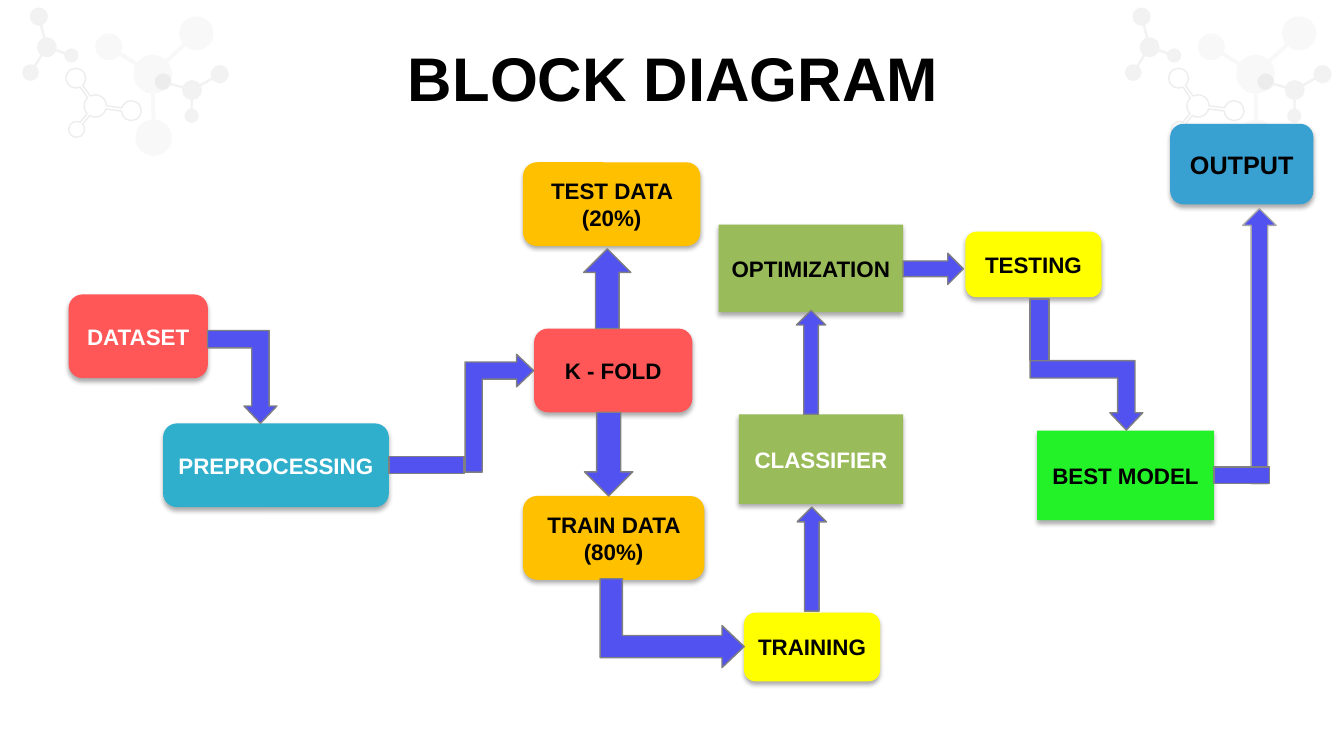
from math import asin, atan2, cos, degrees, pi, sin

from lxml import etree
from pptx import Presentation
from pptx.dml.color import RGBColor
from pptx.enum.shapes import MSO_SHAPE
from pptx.enum.text import MSO_ANCHOR, MSO_AUTO_SIZE, PP_ALIGN
from pptx.oxml.ns import qn
from pptx.util import Cm, Pt

ROUNDED = MSO_SHAPE.ROUNDED_RECTANGLE
SQUARE = MSO_SHAPE.RECTANGLE
UP = MSO_SHAPE.UP_ARROW
DOWN = MSO_SHAPE.DOWN_ARROW
RIGHT = MSO_SHAPE.RIGHT_ARROW
BENT = MSO_SHAPE.BENT_UP_ARROW
MIDDLE = MSO_ANCHOR.MIDDLE
CENTER = PP_ALIGN.CENTER
NO_FIT = MSO_AUTO_SIZE.NONE

FONT = "Arial"
COLORS = {
    "black": "000000", "white": "FFFFFF", "blue": "38A1D2", "red": "FF5757",
    "yellow": "FFFF00", "olive": "9ABB59", "amber": "FFC000", "teal": "2FAFCC",
    "green": "22F227", "arrow": "5252F0", "edge": "808080",
    "pale": "F2F2F2", "silver": "A6A6A6",
}

BLOCKS = [
    ("OUTPUT", ROUNDED, "blue", "black", 18, (29.49, 3.12, 3.61, 2.03)),
    ("DATASET", ROUNDED, "red", "white", 16, (1.73, 7.42, 3.51, 2.11)),
    ("K - FOLD", ROUNDED, "red", "black", 16, (13.46, 8.28, 3.99, 2.11)),
    ("TRAINING", ROUNDED, "yellow", "black", 16, (18.75, 15.44, 3.43, 1.73)),
    ("CLASSIFIER", SQUARE, "olive", "white", 16, (18.62, 10.44, 4.14, 2.26)),
    ("TRAIN DATA (80%)", ROUNDED, "amber", "black", 16, (13.18, 12.5, 4.57, 2.11)),
    ("TEST DATA (20%)", ROUNDED, "amber", "black", 16, (13.18, 4.09, 4.47, 2.11)),
    ("PREPROCESSING", ROUNDED, "teal", "white", 16, (4.11, 10.67, 5.69, 2.11)),
    ("OPTIMIZATION", SQUARE, "olive", "black", 16, (18.11, 5.66, 4.65, 2.21)),
    ("TESTING", ROUNDED, "yellow", "black", 16, (24.33, 5.84, 3.43, 1.65)),
    ("BEST MODEL", SQUARE, "green", "black", 16, (26.14, 10.85, 4.45, 2.26)),
]

STRAIGHT_ARROWS = [
    (UP, (20.09, 12.78, 0.74, 2.62)),
    (UP, (20.07, 7.82, 0.74, 2.62)),
    (RIGHT, (22.76, 6.38, 1.52, 0.79)),
    (UP, (14.71, 6.27, 1.19, 2.01)),
    (DOWN, (14.73, 10.39, 1.22, 2.11)),
    (SQUARE, (9.8, 11.51, 1.9, 0.43)),
]
BENT_ARROWS = [
    ((5.23, 8.33, 1.75, 2.34), 0, True),
    ((11.1, 9.55, 2.97, 1.73), 270, True),
    ((25.96, 9.09, 2.84, 1.75), 0, True),
    ((15.82, 13.89, 2.24, 3.63), 90, False),
]
STUBS = [(25.96, 7.54, 0.48, 1.55), (30.59, 11.77, 1.4, 0.41)]
OUTPUT_ARROW = (31.32, 5.26, 0.84, 6.93)

MOLECULES = [
    ("pale", None, 100, 0.03,
     [(4.84, 2.27, 0.25), (5.54, 1.87, 0.23), (4.83, 2.92, 0.18), (4.11, 2.06, 0.21)]),
    (None, "silver", 20, 0.04,
     [(2.4, 2.67, 0.28), (1.91, 1.97, 0.25), (3.31, 2.79, 0.25), (1.93, 3.26, 0.2)]),
    ("edge", None, 5, 0.05,
     [(3.85, 1.87, 0.49), (3.87, 3.47, 0.46), (2.74, 1.18, 0.34), (4.95, 0.84, 0.43)]),
    ("pale", None, 100, 0.03,
     [(1.18, 1.19, 0.25), (0.98, 0.42, 0.23), (1.8, 1.4, 0.18), (0.77, 1.83, 0.21)]),
]
CORNER_SHIFTS = (27.79, 0)


def color(name):
    return RGBColor.from_string(COLORS[name])


def paint(shape, fill, line=None, width=1):
    shape.shadow.inherit = False
    if fill:
        shape.fill.solid()
        shape.fill.fore_color.rgb = color(fill)
    else:
        shape.fill.background()
    if line:
        shape.line.color.rgb = color(line)
        shape.line.width = Pt(width)
    else:
        shape.line.fill.background()


def set_opacity(parent, percent):
    for tint in parent.iter(qn("a:srgbClr")):
        etree.SubElement(tint, qn("a:alpha"), val=str(percent * 1000))


def drop_shadow(shape):
    effects = shape.element.spPr.find(qn("a:effectLst"))
    shadow = etree.SubElement(effects, qn("a:outerShdw"), blurRad=str(Pt(3.5)),
                              dist=str(Pt(2.2)), dir="5400000", rotWithShape="0")
    etree.SubElement(shadow, qn("a:srgbClr"), val=COLORS["black"])
    set_opacity(shadow, 32)


def write(frame, text, size, tint):
    frame.word_wrap = True
    frame.auto_size = NO_FIT
    frame.vertical_anchor = MIDDLE
    para = frame.paragraphs[0]
    para.alignment = CENTER
    span = para.add_run()
    span.text = text
    span.font.name = FONT
    span.font.size = Pt(size)
    span.font.bold = True
    span.font.color.rgb = color(tint)


def add_title(page, text):
    title = page.shapes.title
    title.left, title.top, title.width, title.height = map(Cm, (0.89, 0.94, 32.16, 2.01))
    write(title.text_frame, text, 44, "black")


def add_block(page, text, kind, fill, tint, size, bounds):
    box = page.shapes.add_shape(kind, *map(Cm, bounds))
    paint(box, fill)
    drop_shadow(box)
    box.text_frame.margin_left = box.text_frame.margin_right = Cm(0.1)
    write(box.text_frame, text, size, tint)


def add_arrow(page, kind, bounds, edge="edge"):
    arrow = page.shapes.add_shape(kind, *map(Cm, bounds))
    paint(arrow, "arrow", edge)
    return arrow


def add_bent_arrow(page, bounds, rotation, flipped):
    arrow = add_arrow(page, BENT, bounds)
    for index, share in enumerate((0.25, 0.237, 0.25)):
        arrow.adjustments[index] = share
    arrow.rotation = rotation
    if flipped:
        arrow.element.spPr.find(qn("a:xfrm")).set("flipV", "1")


def molecule_arcs(atoms, half_bond):
    hub = atoms[0]
    leaves = sorted((atan2(leaf[1] - hub[1], leaf[0] - hub[0]), leaf) for leaf in atoms[1:])
    turns = [angle for angle, leaf in leaves[1:]] + [leaves[0][0] + 2 * pi]
    hub_gap = asin(half_bond / hub[2])
    arcs = []
    for (angle, leaf), following in zip(leaves, turns):
        leaf_gap = asin(half_bond / leaf[2])
        arcs += [(leaf, angle - pi + leaf_gap, angle),
                 (leaf, angle, angle + pi - leaf_gap),
                 (hub, angle + hub_gap, following - hub_gap)]
    return arcs


def round_off(molecule, arcs):
    segments = list(next(molecule.element.spPr.iter(qn("a:path"))))
    for segment, (atom, start, end) in zip(segments[1::2], arcs):
        radius = str(Cm(atom[2]))
        curve = etree.Element(qn("a:arcTo"), wR=radius, hR=radius,
                              stAng=str(round(degrees(start) % 360 * 60000)),
                              swAng=str(round(degrees(end - start) * 60000)))
        segment.getparent().replace(segment, curve)


def add_molecules(page, shift):
    cluster = page.shapes.add_group_shape()
    for fill, line, opacity, half_bond, atoms in MOLECULES:
        arcs = molecule_arcs(atoms, half_bond)
        points = [(Cm(x + shift + radius * cos(angle)), Cm(y + radius * sin(angle)))
                  for (x, y, radius), *ends in arcs for angle in ends]
        builder = cluster.shapes.build_freeform(*points[0])
        builder.add_line_segments(points[1:], close=True)
        molecule = builder.convert_to_shape()
        round_off(molecule, arcs)
        paint(molecule, fill, line)
        if opacity < 100:
            set_opacity(molecule.element.spPr, opacity)


def main():
    deck = Presentation()
    deck.slide_width, deck.slide_height = Cm(33.87), Cm(19.05)
    page = deck.slides.add_slide(deck.slide_layouts[5])
    for shift in CORNER_SHIFTS:
        add_molecules(page, shift)
    add_title(page, "BLOCK DIAGRAM")
    for block in BLOCKS:
        add_block(page, *block)
    for kind, bounds in STRAIGHT_ARROWS:
        add_arrow(page, kind, bounds)
    add_arrow(page, UP, OUTPUT_ARROW, "silver")
    for bent_arrow in BENT_ARROWS:
        add_bent_arrow(page, *bent_arrow)
    for bounds in STUBS:
        add_arrow(page, SQUARE, bounds)
    deck.save("out.pptx")


if __name__ == "__main__":
    main()
